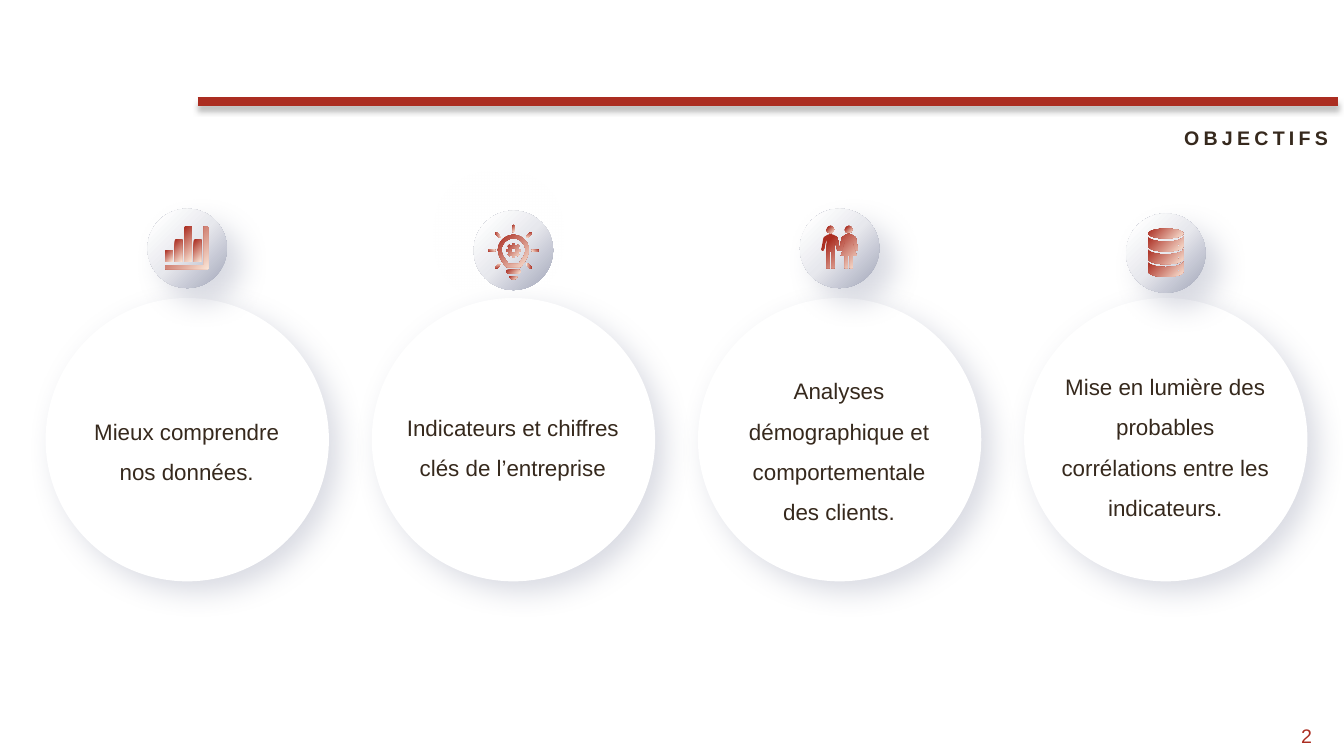
"""Build the slide of four objectives, each a circle under an icon badge."""
import math

import pptx
import pptx.dml.color
import pptx.enum.shapes
import pptx.enum.text
import pptx.oxml
import pptx.oxml.ns
import pptx.util

Cm = pptx.util.Cm
Pt = pptx.util.Pt
KIND = pptx.enum.shapes.MSO_SHAPE
ALIGN = pptx.enum.text.PP_ALIGN
FIT = pptx.enum.text.MSO_AUTO_SIZE.SHAPE_TO_FIT_TEXT

RED, INK, GREY, WHITE = "AB2D21", "36291D", "A1A5B9", "FFFFFF"
PITCH = 8.22
CIRCLE, CIRCLE_LEFT, CIRCLE_TOP = 7.14, 1.15, 7.51
BADGE, BADGE_LEFT = 2.0, 3.72
BADGE_STOPS = [(10, WHITE), (50, "E7E8ED"), (100, GREY)]
BADGE_DIRECTION = '<a:path path="circle"><a:fillToRect r="100000" b="100000"/></a:path>'
ICON_DIRECTION = '<a:lin ang="2700000" scaled="0"/>'
DARK_GLOW, LIGHT_GLOW = (GREY, 40, 20, 15, 45), (WHITE, 75, 20, 15, 225)


def color(value):
    """Turn a hex string into a colour."""
    return pptx.dml.color.RGBColor.from_string(value)


def apply(target, values):
    """Set every attribute named in a dict."""
    for name, value in values.items():
        setattr(target, name, value)


def xml(tag, inner, attributes=""):
    """Parse one drawing element."""
    names = pptx.oxml.ns.nsdecls("a")
    return pptx.oxml.parse_xml(f"<a:{tag} {names} {attributes}>{inner}</a:{tag}>")


def add_effects(shape, shadow=None):
    """Give a shape one outer shadow, or none at all."""
    inner = ""
    if shadow:
        value, opacity, blur, distance, angle = shadow
        inner = (f'<a:outerShdw blurRad="{Pt(blur)}" dist="{Pt(distance)}" dir="{angle * 60000}" '
                 f'algn="ctr" rotWithShape="0"><a:srgbClr val="{value}">'
                 f'<a:alpha val="{opacity * 1000}"/></a:srgbClr></a:outerShdw>')
    shape._element.spPr.append(xml("effectLst", inner))


def fill_gradient(shape, stops, direction):
    """Fill a shape with colour stops and remove its line."""
    shape.line.fill.background()
    inner = "".join(f'<a:gs pos="{place * 1000}"><a:srgbClr val="{value}"/></a:gs>'
                    for place, value in stops)
    gradient = xml("gradFill", f"<a:gsLst>{inner}</a:gsLst>{direction}", 'rotWithShape="1"')
    shape._element.spPr.find(pptx.oxml.ns.qn("a:ln")).addprevious(gradient)


def fill_icon(shape, start=0):
    """Paint an icon part from red to pale orange."""
    fill_gradient(shape, [(start, RED), (100, "FBE5D6")], ICON_DIRECTION)
    add_effects(shape)
    return shape


def add_part(group, centre, kind, left, top, width, height, start=0):
    """Draw a preset icon part placed from the badge centre."""
    x, y = centre
    box = group.shapes.add_shape(kind, Cm(x + left), Cm(y + top), Cm(width), Cm(height))
    return fill_icon(box, start)


def add_outline(group, centre, *contours, start=0):
    """Draw an icon part from closed contours around the badge centre."""
    x, y = centre
    builder = None
    for contour in contours:
        first, *rest = [(Cm(x + dx), Cm(y + dy)) for dx, dy in contour]
        if builder is None:
            builder = group.shapes.build_freeform(*first, scale=1.0)
        else:
            builder.move_to(*first)
        builder.add_line_segments(rest, close=True)
    return fill_icon(builder.convert_to_shape(), start)


def arc(x, y, across, down, begin, end, steps=16):
    """List points along an elliptic arc, angles in degrees."""
    angles = [math.radians(begin + (end - begin) * i / steps) for i in range(steps + 1)]
    return [(x + across * math.cos(a), y + down * math.sin(a)) for a in angles]


def mirror(half, axis=0):
    """Close a right half with its mirrored left half."""
    return [(axis + x, y) for x, y in half] + [(axis - x, y) for x, y in reversed(half)]


def draw_chart(group, centre):
    """Draw the bar chart icon."""
    add_outline(group, centre, [(0.42, -0.55), (0.53, -0.55), (0.53, 0.52),
                                (-0.55, 0.52), (-0.55, 0.42), (0.42, 0.42)])
    for i, height in enumerate([0.29, 0.56, 0.89, 0.56]):
        add_part(group, centre, KIND.RECTANGLE, -0.55 + 0.24 * i, 0.34 - height, 0.18, height)


def draw_bulb(group, centre):
    """Draw the light bulb icon with its gear and rays."""
    gear = [(r * math.cos(a), r * math.sin(a)) for tooth in range(8)
            for r, turn in [(0.14, -14), (0.18, -8), (0.18, 8), (0.14, 14)]
            for a in [math.radians(45 * tooth + turn)]]
    add_outline(group, centre, gear, arc(0, 0, 0.06, 0.06, 0, 360))
    add_part(group, centre, KIND.ROUNDED_RECTANGLE, -0.18, 0.49, 0.36, 0.09).adjustments[0] = 0.5
    add_outline(group, centre, arc(0, 0.65, 0.1, 0.08, 0, 180))
    glass = arc(0, 0, 0.39, 0.39, -90, 0) + [(0.36, 0.14), (0.3, 0.26), (0.2, 0.4), (0.17, 0.42)]
    hollow = arc(0, 0, 0.3, 0.3, -90, 0) + [(0.28, 0.11), (0.23, 0.19), (0.13, 0.34)]
    add_outline(group, centre, mirror(glass), mirror(hollow))
    for turn in range(-135, 136, 45):
        x, y = 0.55 * math.sin(math.radians(turn)), -0.55 * math.cos(math.radians(turn))
        ray = add_part(group, centre, KIND.ROUNDED_RECTANGLE, x - 0.03, y - 0.09, 0.06, 0.18)
        ray.adjustments[0] = 0.5
        ray.rotation = turn


def draw_people(group, centre):
    """Draw the icon of two people."""
    arm = [(0, -0.37), (0.08, -0.34), (0.16, -0.29), (0.18, -0.26),
           (0.23, 0.02), (0.21, 0.06), (0.17, 0.04), (0.1, -0.22)]
    trousers = [(0.1, 0.5), (0.02, 0.5), (0.02, 0.09), (0, 0.09)]
    skirt = [(0.1, -0.11), (0.2, 0.19), (0.1, 0.19), (0.1, 0.5), (0.03, 0.5), (0.03, 0.19), (0, 0.19)]
    for axis in (-0.23, 0.23):
        add_part(group, centre, KIND.OVAL, axis - 0.1, -0.57, 0.19, 0.19, start=20)
    add_outline(group, centre, mirror(arm + trousers, -0.23), mirror(arm + skirt, 0.23), start=20)


def draw_database(group, centre):
    """Draw the icon of stacked disks."""
    add_part(group, centre, KIND.OVAL, -0.44, -0.62, 0.88, 0.25)
    for i in range(3):
        top = -0.42 + 0.32 * i
        layer = arc(0, top, 0.44, 0.13, 180, 0) + arc(0, top + 0.25, 0.44, 0.13, 0, 180)
        add_outline(group, centre, layer, arc(0.32, top + 0.22, 0.03, 0.03, 0, 360))


def write(box, text, align, spacing, values, frame_values):
    """Write one formatted paragraph into a box and return its span."""
    apply(box.text_frame, frame_values)
    para = box.text_frame.paragraphs[0]
    apply(para, {"alignment": align, "line_spacing": spacing})
    span = para.add_run()
    span.text = text
    span.font.color.rgb = color(values["color"])
    apply(span.font, {"name": "Arial", "size": Pt(values["size"]), "bold": values.get("bold", False)})
    return span


def add_circle(page, column, text, top, height):
    """Draw a raised circle with its objective."""
    group = page.shapes.add_group_shape()
    left = CIRCLE_LEFT + PITCH * column
    disk = group.shapes.add_shape(KIND.OVAL, Cm(left), Cm(CIRCLE_TOP), Cm(CIRCLE), Cm(CIRCLE))
    disk.fill.solid()
    disk.fill.fore_color.rgb = color(WHITE)
    disk.line.fill.background()
    add_effects(disk, (GREY, 40, 20, 10, 45))
    box = group.shapes.add_textbox(Cm(left + 0.61), Cm(top), Cm(5.89), Cm(height))
    write(box, text, ALIGN.CENTER, 1.5, {"color": INK, "size": 16}, {"word_wrap": True, "auto_size": FIT})


def add_badge(page, column, top, draw, shadow):
    """Draw a round badge and the icon on it."""
    group = page.shapes.add_group_shape()
    left = BADGE_LEFT + PITCH * column
    disk = group.shapes.add_shape(KIND.OVAL, Cm(left), Cm(top), Cm(BADGE), Cm(BADGE))
    fill_gradient(disk, BADGE_STOPS, BADGE_DIRECTION)
    add_effects(disk, shadow)
    draw(group, (left + BADGE / 2, top + BADGE / 2))


def add_heading(page):
    """Draw the heading and the red rule above it."""
    box = page.shapes.add_textbox(Cm(20.84), Cm(2.95), Cm(12.88), Cm(1.09))
    span = write(box, "OBJECTIFS", ALIGN.RIGHT, 0.9, {"color": INK, "size": 14, "bold": True},
                 {"word_wrap": True, "vertical_anchor": pptx.enum.text.MSO_ANCHOR.MIDDLE})
    span._r.get_or_add_rPr().set("spc", "300")
    rule = page.shapes.add_connector(pptx.enum.shapes.MSO_CONNECTOR.STRAIGHT,
                                     Cm(4.98), Cm(2.56), Cm(33.73), Cm(2.56))
    rule.line.color.rgb = color(RED)
    rule.line.width = Pt(6)
    add_effects(rule, ("BFBFBF", 100, 4, 4, 90))


def main():
    """Build and save the deck."""
    deck = pptx.Presentation()
    apply(deck, {"slide_width": Cm(33.87), "slide_height": Cm(19.05)})
    page = deck.slides.add_slide(deck.slide_layouts[6])
    add_heading(page)
    for column, objective in enumerate([
            ("Mieux comprendre nos données.", 10.07, 2.21),
            ("Indicateurs et chiffres clés de l’entreprise", 9.97, 2.21),
            ("Analyses démographique et comportementale des clients.", 9.05, 4.27),
            ("Mise en lumière des probables corrélations entre les indicateurs.", 8.94, 4.27)]):
        add_circle(page, column, *objective)
    for column, badge in enumerate([
            (5.26, draw_chart, DARK_GLOW), (5.31, draw_bulb, LIGHT_GLOW),
            (5.26, draw_people, DARK_GLOW), (5.38, draw_database, DARK_GLOW)]):
        add_badge(page, column, *badge)
    number = page.shapes.add_textbox(Cm(32.54), Cm(18.11), Cm(0.79), Cm(0.86))
    write(number, "2", ALIGN.LEFT, 1.0, {"color": RED, "size": 14}, {"word_wrap": False, "auto_size": FIT})
    deck.save("out.pptx")


if __name__ == "__main__":
    main()
